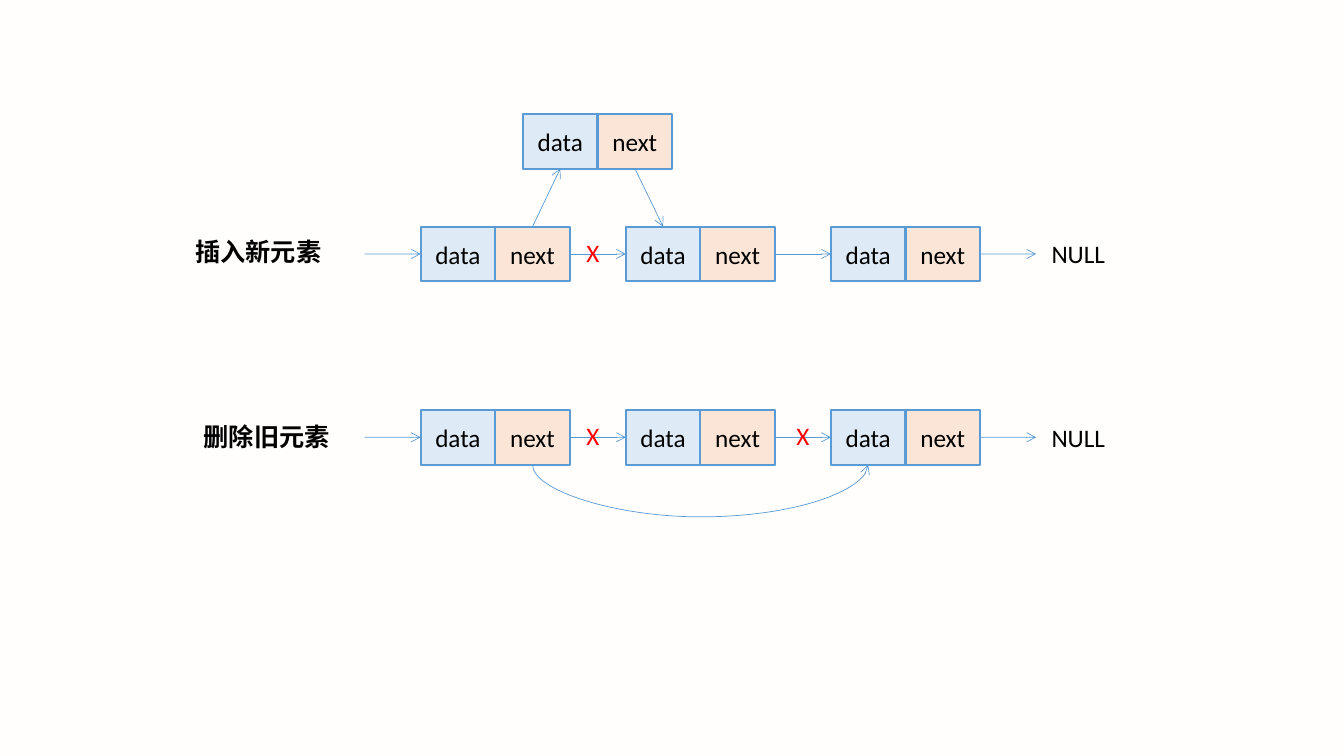
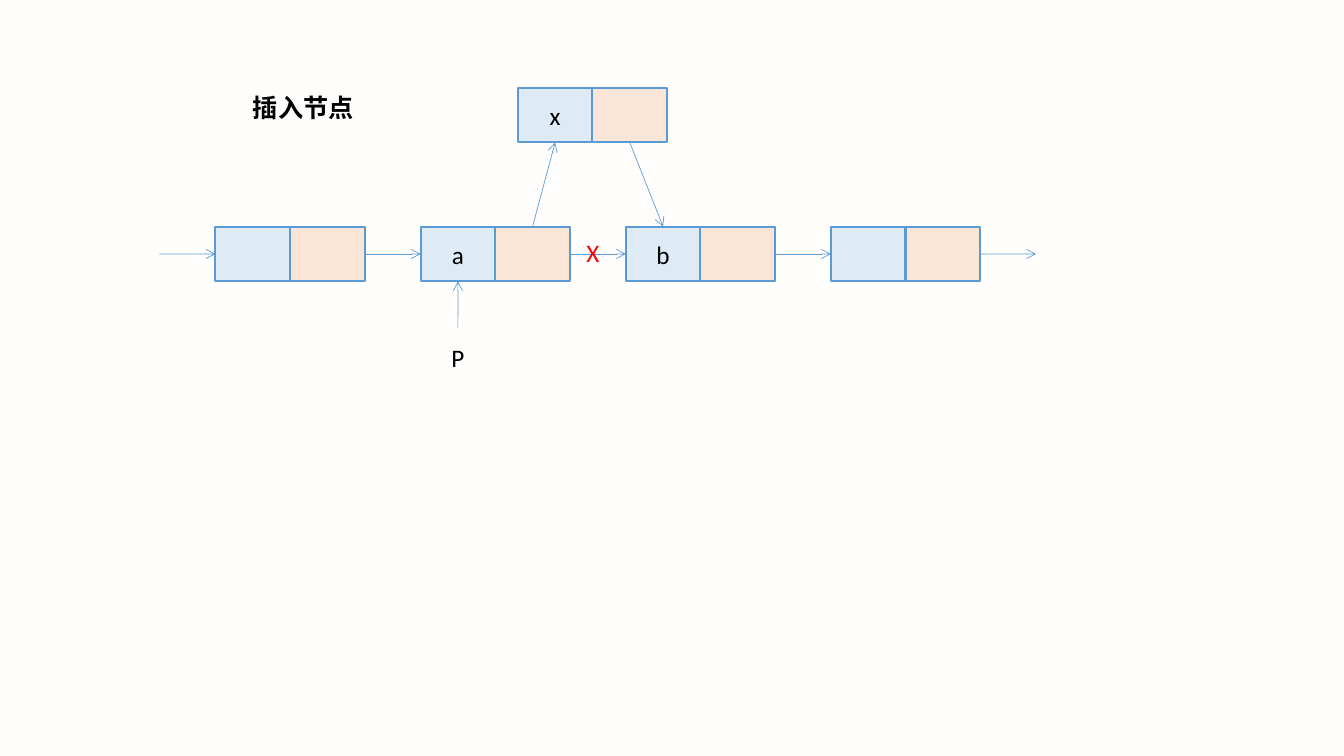
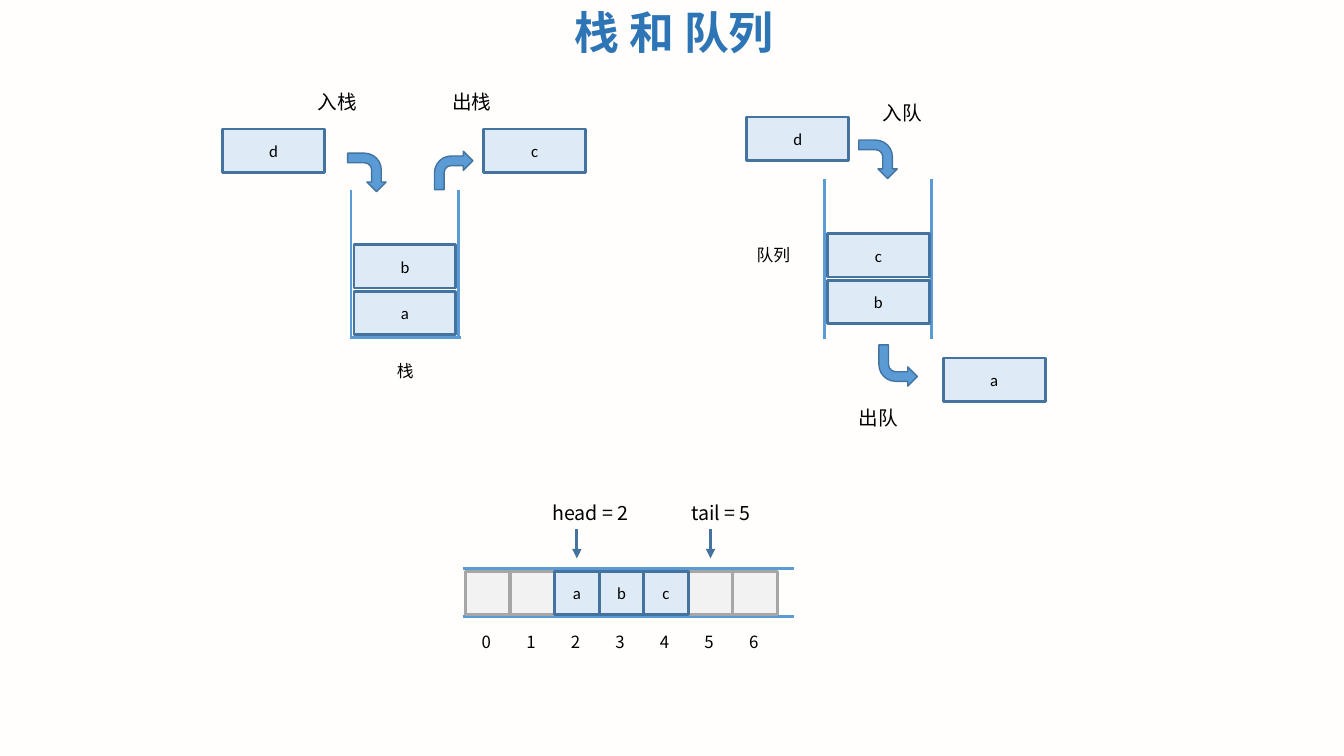
from dataclasses import dataclass

from lxml import etree
from pptx import Presentation
from pptx.dml.color import RGBColor
from pptx.enum import shapes, text
from pptx.oxml.ns import qn
from pptx.util import Cm, Pt


@dataclass(frozen=True)
class Theme:
    background: str = "FFFEFD"
    ink: str = "000000"
    title: str = "2E75B6"
    cross: str = "FF0000"
    accent: str = "5B9BD5"
    accent_dark: str = "43739E"
    data_fill: str = "DEEBF7"
    next_fill: str = "FBE5D6"
    empty_fill: str = "F2F2F2"
    empty_line: str = "A6A6A6"
    latin: str = "Calibri"
    cjk: str = "Noto Sans CJK SC"
    title_size: int = 32
    node_size: int = 18
    label_size: int = 14
    block_size: int = 12


T = Theme()
CELL_W, CELL_H = 1.88, 1.38
NODE_GAP = 1.41
NODE_PITCH = 2 * CELL_W + NODE_GAP
COLUMN_1, COLUMN_2 = 5.43, 5.43 + NODE_PITCH
INSERT_ROW, DELETE_ROW = 5.71, 10.33
BLOCK_W, BLOCK_H = 2.57, 1.09
ARRAY_X, ARRAY_PITCH = 11.73, 1.123
TOP, LEFT, BOTTOM, RIGHT = range(4)


def rgb(color):
    return RGBColor.from_string(color)


def new_slide(prs):
    slide = prs.slides.add_slide(prs.slide_layouts[6])
    fill = slide.background.fill
    fill.solid()
    fill.fore_color.rgb = rgb(T.background)
    return slide


def write(tf, content, size, font, color=T.ink, bold=False, align="CENTER"):
    tf.text = content
    p = tf.paragraphs[0]
    p.alignment = getattr(text.PP_ALIGN, align)
    r = p.runs[0]
    r.font.size = Pt(size)
    r.font.bold = bold
    r.font.color.rgb = rgb(color)
    r.font.name = font
    etree.SubElement(r.font._element, qn("a:ea")).set("typeface", font)


def label(slide, content, box, size, font=T.cjk, wrap=False, **style):
    sp = slide.shapes.add_textbox(*map(Cm, box))
    tf = sp.text_frame
    tf.word_wrap = wrap
    write(tf, content, size, font, **style)
    tf.auto_size = text.MSO_AUTO_SIZE.SHAPE_TO_FIT_TEXT
    return sp


def preset(parent, kind, box, fill, line, width):
    sp = parent.shapes.add_shape(kind, *map(Cm, box))
    sp.shadow.inherit = False
    sp.fill.solid()
    sp.fill.fore_color.rgb = rgb(fill)
    sp.line.color.rgb = rgb(line)
    sp.line.width = Pt(width)
    return sp


def cell(parent, content, box, fill, line, width, size):
    sp = preset(parent, shapes.MSO_SHAPE.RECTANGLE, box, fill, line, width)
    if content:
        sp.text_frame.vertical_anchor = text.MSO_ANCHOR.MIDDLE
        write(sp.text_frame, content, size, T.latin)
    return sp


def connector(slide, ends, color=T.accent, width=0.5, head=None,
              kind=shapes.MSO_CONNECTOR.STRAIGHT):
    c = slide.shapes.add_connector(kind, *map(Cm, ends))
    c.line.color.rgb = rgb(color)
    c.line.width = Pt(width)
    props = c._element.spPr
    if head:
        etree.SubElement(props.find(qn("a:ln")), qn("a:tailEnd")).set("type", head)
    etree.SubElement(props, qn("a:effectLst"))
    return c


def link(slide, start, start_site, end, end_site):
    c = connector(slide, (0, 0, 0, 0), head="arrow")
    c.begin_connect(start, start_site)
    c.end_connect(end, end_site)


def arc_below(slide, x1, x2, y, depth):
    thin = 0.01
    span = x2 - x1
    x, top = (x1 + x2 - thin) / 2, y - span / 2
    c = connector(slide, (x, top + span, x + thin, top), head="arrow",
                  kind=shapes.MSO_CONNECTOR.CURVE)
    c.rotation = 90
    guides = c._element.spPr.find(qn("a:prstGeom")).get_or_add_avLst()
    guide = etree.SubElement(guides, qn("a:gd"))
    guide.set("name", "adj1")
    guide.set("fmla", f"val {round(depth / thin * 100000)}")


def node(slide, x, y, contents):
    group = slide.shapes.add_group_shape()
    return [cell(group, content, (x + i * CELL_W, y, CELL_W, CELL_H), fill,
                 T.accent, 1.5, T.node_size)
            for i, (content, fill) in enumerate(zip(contents, (T.data_fill, T.next_fill)))]


def linked_list(slide, x, y, contents):
    nodes = [node(slide, x + i * NODE_PITCH, y, pair) for i, pair in enumerate(contents)]
    middle = y + CELL_H / 2
    lead = connector(slide, (x - NODE_GAP, middle, x, middle), head="arrow")
    lead.end_connect(nodes[0][0], LEFT)
    for (_, link_cell), (data_cell, _) in zip(nodes, nodes[1:]):
        link(slide, link_cell, RIGHT, data_cell, LEFT)
    return nodes


def cross_out(slide, x, y):
    label(slide, "X", (x, y + 0.14, 0.89, 1.02), T.node_size, T.latin, color=T.cross)


def insert_between(slide, before, after, x, y, contents):
    data_cell, link_cell = node(slide, x, y, contents)
    link(slide, before[1], TOP, data_cell, BOTTOM)
    link(slide, link_cell, BOTTOM, after[0], TOP)
    cross_out(slide, 14.5, INSERT_ROW)


def heading(slide, content, x, y, w):
    label(slide, content, (x, y, w, 1.02), T.node_size, bold=True)


def list_changes(prs):
    slide = new_slide(prs)
    pair = ("data", "next")
    rows = {}
    for y in (INSERT_ROW, DELETE_ROW):
        rows[y] = linked_list(slide, COLUMN_2, y, [pair] * 3)
        null = label(slide, "NULL", (26.11, y + 0.18, 2.13, 1.02), T.node_size, T.latin)
        link(slide, rows[y][-1][1], RIGHT, null, LEFT)
    first, second, _ = rows[INSERT_ROW]
    insert_between(slide, first, second, 13.18, 2.87, pair)
    for x in (14.5, 19.79):
        cross_out(slide, x, DELETE_ROW)
    arc_below(slide, COLUMN_2 + 1.5 * CELL_W, COLUMN_2 + 2 * NODE_PITCH + CELL_W / 2,
              DELETE_ROW + CELL_H, 1.32)
    heading(slide, "插入新元素", 4.67, 5.84, 3.68)
    heading(slide, "删除旧元素", 4.88, 10.49, 3.68)


def node_insertion(prs):
    slide = new_slide(prs)
    nodes = linked_list(slide, COLUMN_1, INSERT_ROW,
                        [("", ""), ("a", ""), ("b", ""), ("", "")])
    middle = INSERT_ROW + CELL_H / 2
    last = connector(slide, (24.7, middle, 26.11, middle), head="arrow")
    last.begin_connect(nodes[-1][1], RIGHT)
    insert_between(slide, nodes[1], nodes[2], 13.05, 2.21, ("x", ""))
    heading(slide, "插入节点", 6.12, 2.21, 3.05)
    x = COLUMN_2 + CELL_W / 2
    pointer = connector(slide, (x, 8.26, x, INSERT_ROW + CELL_H), head="arrow")
    pointer.end_connect(nodes[1][0], BOTTOM)
    label(slide, "P", (10.69, 8.51, 1.7, 1.02), T.node_size, T.latin, wrap=True)


def block(slide, content, x, y, w=BLOCK_W):
    cell(slide, content, (x, y, w, BLOCK_H), T.data_fill, T.accent_dark, 2, T.block_size)


def wall(slide, *ends):
    connector(slide, ends, width=1.75)


def bent_arrow(slide, x, y, h=0.97, rotation=0, mirrored=False):
    sp = preset(slide, shapes.MSO_SHAPE.BENT_ARROW, (x, y, 0.97, h),
                T.accent, T.accent_dark, 1)
    sp.rotation = rotation
    if mirrored:
        sp._element.spPr.find(qn("a:xfrm")).set("flipH", "1")


def circular_array(slide):
    for y in (14.33, 15.54):
        wall(slide, 11.68, y, 20.02, y)
    contents = ["", "", "a", "b", "c", "", ""]
    for i, content in sorted(enumerate(contents), key=lambda item: item[1] != ""):
        x = ARRAY_X + i * ARRAY_PITCH
        if content:
            block(slide, content, x, 14.4, ARRAY_PITCH)
        else:
            cell(slide, "", (x, 14.4, ARRAY_PITCH, BLOCK_H), T.empty_fill,
                 T.empty_line, 2.25, T.block_size)
    for i in range(len(contents)):
        label(slide, str(i), (11.89 + i * ARRAY_PITCH, 15.8, 0.76, 0.76),
              T.block_size, align="LEFT")
    for name, index, x, w in (("head", 2, 13.67, 2.72), ("tail", 5, 17.17, 3.45)):
        label(slide, f"{name} = {index}", (x, 12.5, w, 0.86), T.label_size,
              wrap=True, align="LEFT")
        middle = ARRAY_X + (index + 0.5) * ARRAY_PITCH
        connector(slide, (middle, 13.34, middle, 14.07), T.accent_dark, 2.25, "triangle")


def stack_and_queue(prs):
    slide = new_slide(prs)
    label(slide, "栈 和 队列", (14.22, 0, 5.79, 1.63), T.title_size,
          color=T.title, bold=True, align="LEFT")
    for x, top, bottom in ((8.84, 4.78, 8.51), (11.56, 4.78, 8.51),
                           (20.78, 4.52, 8.53), (23.47, 4.52, 8.53)):
        wall(slide, x, top, x, bottom)
    wall(slide, 8.81, 8.51, 11.61, 8.51)
    for content, x, y in (("a", 8.92, 7.34), ("b", 8.92, 6.17),
                          ("d", 5.61, 3.25), ("c", 12.19, 3.25),
                          ("b", 20.85, 7.06), ("c", 20.85, 5.89),
                          ("a", 23.77, 9.02), ("d", 18.82, 2.95)):
        block(slide, content, x, y)
    bent_arrow(slide, 8.76, 3.86, rotation=90)
    bent_arrow(slide, 10.95, 3.81)
    bent_arrow(slide, 21.64, 3.53, rotation=90)
    bent_arrow(slide, 22.15, 8.69, 1.04, rotation=180, mirrored=True)
    for content, x, y in (("入栈", 7.75, 2.13), ("出栈", 11.15, 2.13),
                          ("入队", 22, 2.41), ("出队", 21.39, 10.11)):
        label(slide, content, (x, y, 1.5, 0.86), T.label_size, align="LEFT")
    for content, x, y, w in (("栈", 9.75, 8.97, 0.94), ("队列", 18.82, 6.05, 1.35)):
        label(slide, content, (x, y, w, 0.76), T.block_size, align="LEFT")
    circular_array(slide)


def main():
    prs = Presentation()
    prs.slide_width, prs.slide_height = Cm(33.87), Cm(19.05)
    list_changes(prs)
    node_insertion(prs)
    stack_and_queue(prs)
    prs.save("out.pptx")


if __name__ == "__main__":
    main()
